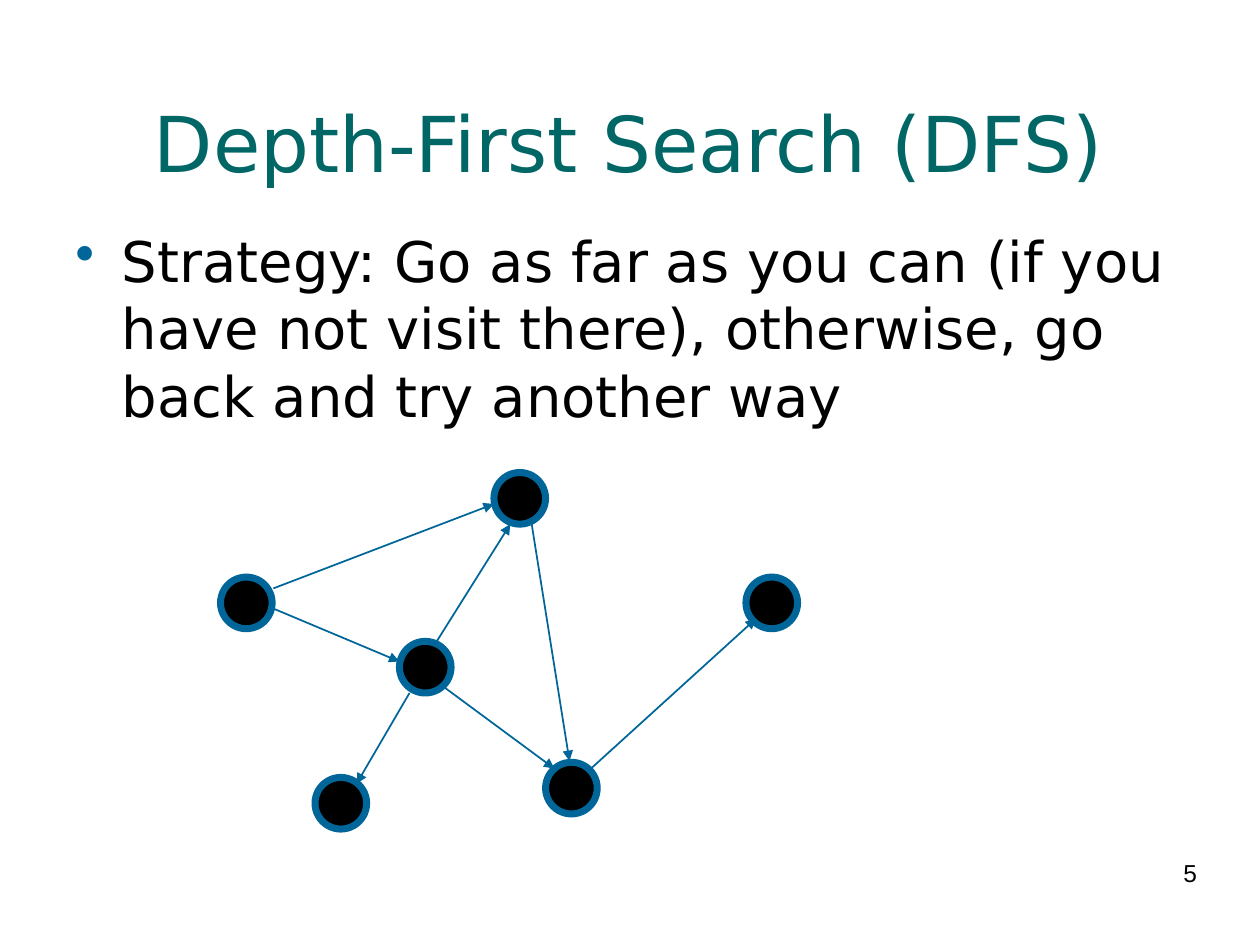
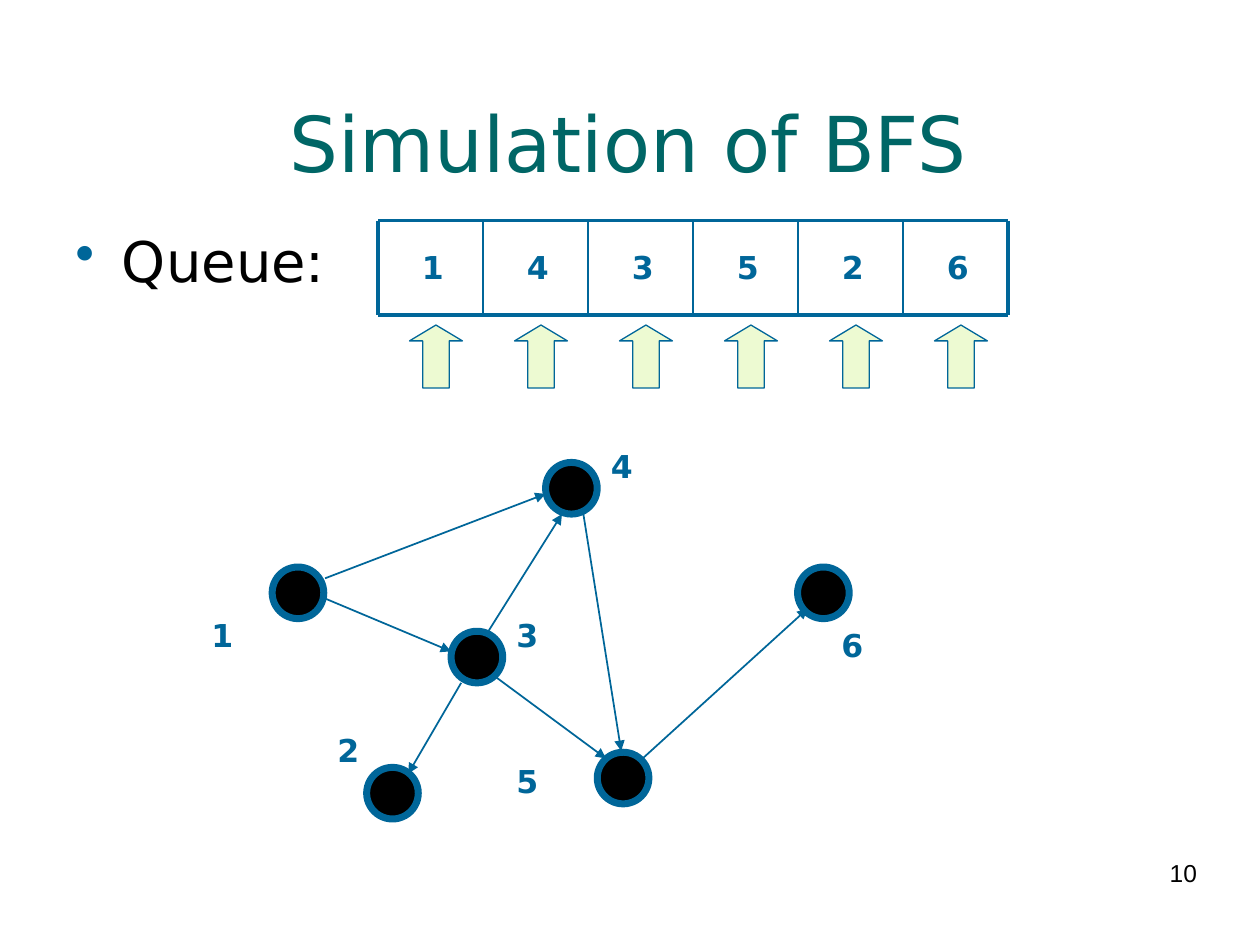
import lxml.etree
import pptx
import pptx.dml.color
import pptx.enum.shapes
import pptx.enum.text
import pptx.oxml.ns
import pptx.util

Inches = pptx.util.Inches
Pt = pptx.util.Pt
color = pptx.dml.color.RGBColor.from_string
qn = pptx.oxml.ns.qn
shapes = pptx.enum.shapes
align = pptx.enum.text.PP_ALIGN

TITLE_GREEN = "006666"
BLUE = "006699"
BLACK = "000000"
ARROW_GREEN = "EDFAD2"
FONT = "DejaVu Sans"


def add_text(slide, text, left, top, width, height, size, hex_color, font=FONT, bold=False):
    """Add a one-paragraph text box and return its frame and paragraph."""
    box = slide.shapes.add_textbox(Inches(left), Inches(top), Inches(width), Inches(height))
    frame = box.text_frame
    frame.word_wrap = True
    paragraph = frame.paragraphs[0]
    run = paragraph.add_run()
    run.text = text
    run.font.name = font
    run.font.size = Pt(size)
    run.font.bold = bold
    run.font.color.rgb = color(hex_color)
    return frame, paragraph


def add_line(slide, start, end, width, arrow=False):
    """Add a straight blue line, with an arrowhead at its end if asked."""
    connector = slide.shapes.add_connector(
        shapes.MSO_CONNECTOR.STRAIGHT, *[Inches(value) for value in (*start, *end)])
    connector.line.color.rgb = color(BLUE)
    connector.line.width = Pt(width)
    if arrow:
        line = connector.line._get_or_add_ln()
        lxml.etree.SubElement(line, qn("a:tailEnd")).set("type", "triangle")
    lxml.etree.SubElement(connector._element.spPr, qn("a:effectLst"))


presentation = pptx.Presentation()
presentation.slide_width = Inches(10)
presentation.slide_height = Inches(7.5)

# Title, bullet, bullet box height, page number, graph shift right and down
pages = [
    ("Depth-First Search (DFS)",
     "Strategy: Go as far as you can (if you have not visit there), "
     "otherwise, go back and try another way", 1.72, "5", 0, 0),
    ("Simulation of BFS", "Queue:", 0.64, "10", 0.41, -0.08),
]

# Graph: top left corners of the nodes, and edges from rim to rim
node_size = 0.41
nodes = [(1.75, 4.58), (3.92, 3.75), (4.33, 6.05), (5.92, 4.58), (3.17, 5.09), (2.5, 6.17)]
edges = [
    ((3.52, 5.45), (4.4, 6.1)),
    ((4.69, 6.1), (6, 4.91)),
    ((3.46, 5.1), (4.05, 4.16)),
    ((4.22, 4.16), (4.52, 6.04)),
    ((2.17, 4.83), (3.17, 5.25)),
    ((2.17, 4.67), (3.92, 4)),
    ((3.25, 5.5), (2.83, 6.22)),
]

for title, bullet, bullet_height, number, shift_x, shift_y in pages:
    slide = presentation.slides.add_slide(presentation.slide_layouts[6])

    # Page number
    frame, paragraph = add_text(slide, number, 7.17, 6.83, 2.33, 0.52, 14, "010000", "Arial")
    frame.margin_left = frame.margin_right = frame.margin_top = frame.margin_bottom = 0
    paragraph.alignment = align.RIGHT
    paragraph.line_spacing = 0.93

    # Title
    frame, paragraph = add_text(slide, title, 0.48, 0.11, 9.02, 1.44, 44, TITLE_GREEN)
    frame.vertical_anchor = pptx.enum.text.MSO_ANCHOR.BOTTOM
    paragraph.alignment = align.CENTER
    paragraph.line_spacing = 0.9

    # Bullet
    frame, paragraph = add_text(slide, bullet, 0.5, 1.75, 9, bullet_height, 32, BLACK)
    paragraph.space_before = Pt(8)
    properties = paragraph._p.get_or_add_pPr()
    properties.set("marL", str(Inches(0.37)))
    properties.set("indent", str(Inches(-0.37)))
    bullet_color = lxml.etree.SubElement(properties, qn("a:buClr"))
    lxml.etree.SubElement(bullet_color, qn("a:srgbClr")).set("val", BLUE)
    lxml.etree.SubElement(properties, qn("a:buChar")).set("char", "•")

    # Graph
    for (start_x, start_y), (end_x, end_y) in edges:
        add_line(slide, (start_x + shift_x, start_y + shift_y),
                 (end_x + shift_x, end_y + shift_y), 0.99, arrow=True)
    for left, top in nodes:
        node = slide.shapes.add_shape(
            shapes.MSO_SHAPE.OVAL, Inches(left + shift_x), Inches(top + shift_y),
            Inches(node_size), Inches(node_size))
        node.shadow.inherit = False
        node.fill.solid()
        node.fill.fore_color.rgb = color(BLACK)
        node.line.color.rgb = color(BLUE)
        node.line.width = Pt(4)

# The last slide also shows the visiting order
queue = ["1", "4", "3", "5", "2", "6"]
queue_left, queue_right, queue_top, queue_bottom = 3, 8, 1.75, 2.5
cell_width = (queue_right - queue_left) / len(queue)

# Queue frame and cell dividers
for y in (queue_top, queue_bottom):
    add_line(slide, (queue_left, y), (queue_right, y), 2.24)
for index in range(len(queue) + 1):
    x = queue_left + index * cell_width
    width = 2.24 if index in (0, len(queue)) else 0.99
    add_line(slide, (x, queue_top), (x, queue_bottom), width)

# Queue entries, each with an arrow below
labels = []
for index, entry in enumerate(queue):
    left = queue_left + 0.25 + index * cell_width
    labels.append((entry, left, 1.92))
    arrow = slide.shapes.add_shape(
        shapes.MSO_SHAPE.UP_ARROW, Inches(left), Inches(2.58), Inches(0.42), Inches(0.5))
    arrow.adjustments[0] = 0.5
    arrow.adjustments[1] = 0.3
    arrow.shadow.inherit = False
    arrow.fill.solid()
    arrow.fill.fore_color.rgb = color(ARROW_GREEN)
    arrow.line.color.rgb = color(BLUE)
    arrow.line.width = Pt(0.74)

# Node numbers
labels += [("1", 1.58, 4.84), ("4", 4.75, 3.5), ("3", 4, 4.84),
           ("2", 2.58, 5.75), ("5", 4, 6), ("6", 6.58, 4.92)]
for text, left, top in labels:
    frame, paragraph = add_text(slide, text, left, top, 0.67, 0.4, 18, BLUE, bold=True)
    paragraph.space_before = Pt(11.2)

presentation.save("out.pptx")
